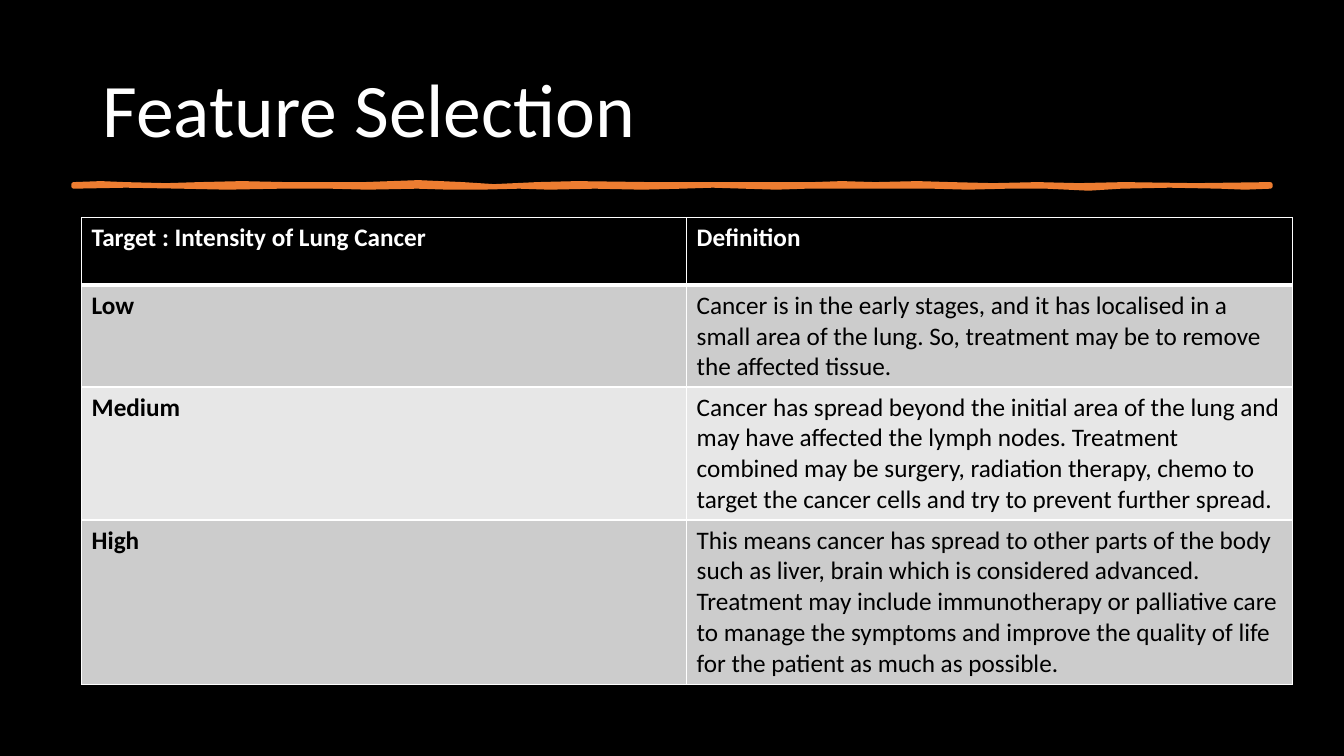
import pptx
import pptx.dml.color
import pptx.enum.text
import pptx.oxml
import pptx.oxml.ns
import pptx.util

RGBColor = pptx.dml.color.RGBColor
BLACK = RGBColor(0x00, 0x00, 0x00)
WHITE = RGBColor(0xFF, 0xFF, 0xFF)
ORANGE = RGBColor(0xED, 0x7D, 0x31)
GREY = RGBColor(0xCC, 0xCC, 0xCC)
PALE = RGBColor(0xE7, 0xE7, 0xE7)

TITLE = "Feature Selection"
ROWS = [
    ("Target : Intensity of Lung Cancer", "Definition"),
    ("Low", "Cancer is in the early stages, and it has localised in a small area of the lung. "
            "So, treatment may be to remove the affected tissue."),
    ("Medium", "Cancer has spread beyond the initial area of the lung and may have affected the "
               "lymph nodes. Treatment combined may be surgery, radiation therapy, chemo to target "
               "the cancer cells and try to prevent further spread."),
    ("High", "This means cancer has spread to other parts of the body such as liver, brain which is "
             "considered advanced. Treatment may include immunotherapy or palliative care to manage "
             "the symptoms and improve the quality of life for the patient as much as possible."),
]
ROW_FILLS = [BLACK, GREY, PALE, GREY]
ROW_HEIGHTS = [67, 101, 132, 163]
COLUMN_WIDTHS = [600, 601]

STROKE_TOP = [(73, 183), (100, 182), (124, 183), (165, 184), (198, 183), (240, 182), (284, 183),
              (361, 183), (415, 181), (459, 183), (490, 185), (533, 183), (572, 182), (646, 183),
              (744, 183), (806, 183), (835, 182), (868, 183), (910, 182), (943, 183), (985, 184),
              (1029, 183), (1070, 184), (1115, 183), (1186, 184), (1260, 183)]
STROKE_BOTTOM = [(1260, 185), (1235, 186), (1210, 185), (1160, 184), (1112, 185), (1080, 187),
                 (1038, 185), (999, 185), (960, 186), (925, 185), (863, 185), (800, 185), (770, 186),
                 (738, 185), (707, 184), (676, 185), (637, 186), (590, 185), (545, 186), (515, 185),
                 (477, 186), (445, 186), (414, 185), (364, 186), (328, 185), (278, 185), (225, 186),
                 (180, 185), (125, 184), (73, 185)]

SCALE = 9144


def px(length):
    return pptx.util.Emu(length * SCALE)


def write(frame, text, size, color, bold=False):
    para = frame.paragraphs[0]
    para.text = text
    para.font.name = "Calibri"
    para.font.size = pptx.util.Pt(size)
    para.font.bold = bold
    para.font.color.rgb = color
    return para


def add_borders(cell, widths):
    properties = cell._tc.get_or_add_tcPr()
    for position, (side, points) in enumerate(widths.items()):
        line = pptx.oxml.parse_xml(
            f'<a:ln{side} {pptx.oxml.ns.nsdecls("a")} w="{pptx.util.Pt(points)}">'
            f'<a:solidFill><a:srgbClr val="{WHITE}"/></a:solidFill></a:ln{side}>')
        properties.insert(position, line)


def add_title(page):
    box = page.shapes.add_textbox(px(92), px(40), px(1150), px(145))
    frame = box.text_frame
    frame.word_wrap = True
    frame.vertical_anchor = pptx.enum.text.MSO_ANCHOR.MIDDLE
    write(frame, TITLE, 54, WHITE).line_spacing = 0.9


def add_stroke(page):
    outline = STROKE_TOP + STROKE_BOTTOM
    builder = page.shapes.build_freeform(*outline[0], scale=SCALE)
    builder.add_line_segments(outline[1:], close=True)
    stroke = builder.convert_to_shape()
    stroke.shadow.inherit = False
    stroke.fill.solid()
    stroke.fill.fore_color.rgb = ORANGE
    stroke.line.color.rgb = ORANGE
    stroke.line.width = pptx.util.Pt(3.25)


def add_definitions(page):
    table = page.shapes.add_table(
        len(ROWS), len(COLUMN_WIDTHS), px(81), px(216),
        px(sum(COLUMN_WIDTHS)), px(sum(ROW_HEIGHTS))).table
    for column, width in zip(table.columns, COLUMN_WIDTHS):
        column.width = px(width)
    for r, (texts, fill, height) in enumerate(zip(ROWS, ROW_FILLS, ROW_HEIGHTS)):
        table.rows[r].height = px(height)
        header = r == 0
        for c, text in enumerate(texts):
            cell = table.cell(r, c)
            cell.fill.solid()
            cell.fill.fore_color.rgb = fill
            write(cell.text_frame, text, 18, WHITE if header else BLACK, header or c == 0)
            add_borders(cell, {"L": 1, "R": 1, "T": 3 if r == 1 else 1, "B": 3 if header else 1})


def main():
    deck = pptx.Presentation()
    deck.slide_width, deck.slide_height = px(1333), px(750)
    page = deck.slides.add_slide(deck.slide_layouts[6])
    page.background.fill.solid()
    page.background.fill.fore_color.rgb = BLACK
    add_title(page)
    add_stroke(page)
    add_definitions(page)
    deck.save("out.pptx")


if __name__ == "__main__":
    main()
